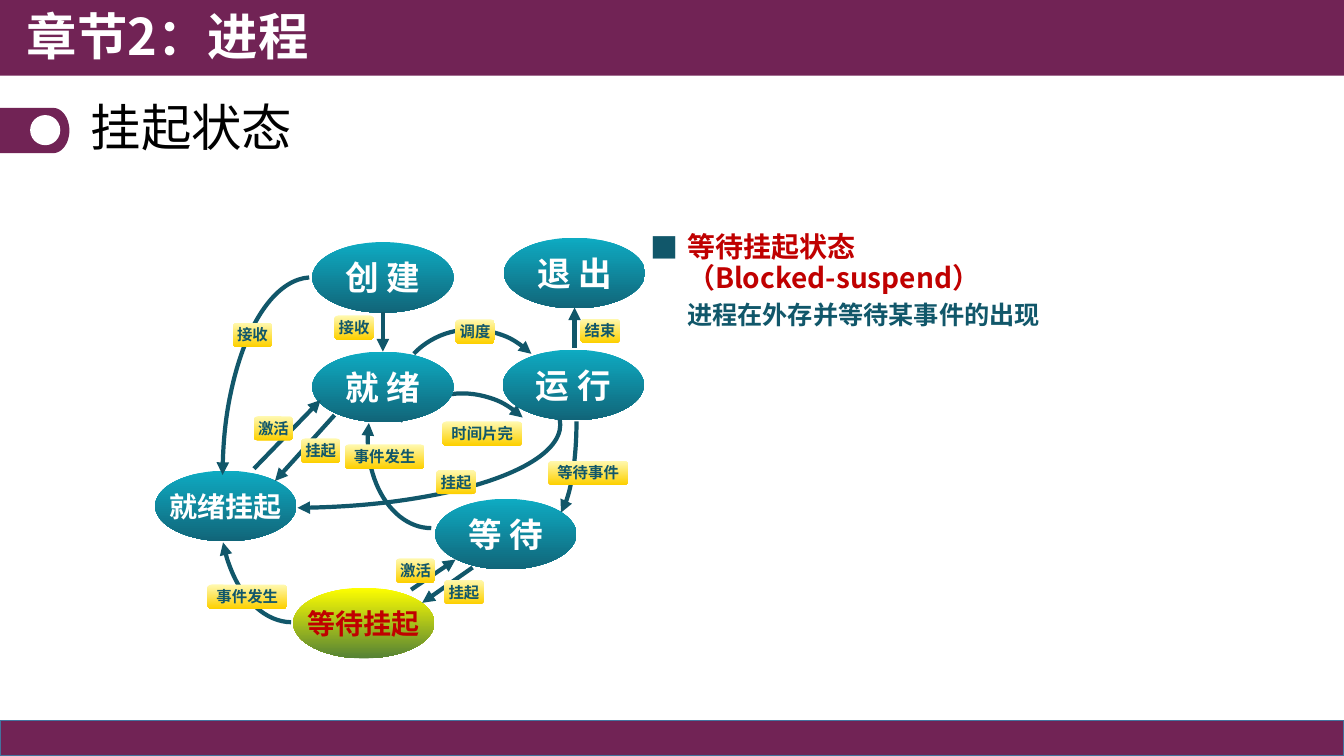
from dataclasses import dataclass
from math import cos, pi, sin

from lxml import etree
from pptx import Presentation
from pptx.dml.color import RGBColor
from pptx.enum import shapes, text
from pptx.oxml import ns
from pptx.util import Cm, Pt


@dataclass(frozen=True)
class Theme:
    font: str = "Noto Sans CJK SC"
    bullet_font: str = "Noto Sans CJK JP"
    plum: str = "712355"
    footer_edge: str = "43739E"
    white: str = "FFFFFF"
    black: str = "000000"
    teal: str = "11576A"
    red: str = "C00000"
    state_fill: tuple = ("0EABC2", "116579")
    current_fill: tuple = ("FFFF00", "548235")
    label_fill: tuple = ("FFF9B1", "FDD000")
    heading_size: int = 36
    state_size: int = 24
    long_state_size: int = 20
    point_size: int = 20
    detail_size: int = 18
    label_size: int = 11


theme = Theme()
Preset = shapes.MSO_SHAPE


def write(paragraph, words, *, size, color, bold=True, align=text.PP_ALIGN.LEFT,
          line=None, before=0):
    paragraph.alignment = align
    paragraph.space_before = Pt(before)
    if line:
        paragraph.line_spacing = line
    run = paragraph.add_run()
    run.text = words
    run.font.size = Pt(size)
    run.font.bold = bold
    run.font.color.rgb = RGBColor.from_string(color)
    run.font.name = theme.font
    east_asian = etree.Element(ns.qn("a:ea"), typeface=theme.font)
    run.font._element.find(ns.qn("a:latin")).addnext(east_asian)


def draw_node(preset, words, box, fill, size, color):
    """Draw a shape with a top-to-bottom gradient and centred text."""
    shape = slide.shapes.add_shape(preset, *map(Cm, box))
    shape.shadow.inherit = False
    shape.line.fill.background()
    shape.fill.gradient()
    shape.fill.gradient_angle = 270
    for stop, stop_color in zip(shape.fill.gradient_stops, fill):
        stop.color.rgb = RGBColor.from_string(stop_color)
    frame = shape.text_frame
    frame.margin_left = frame.margin_right = frame.margin_top = frame.margin_bottom = 0
    frame.word_wrap = False
    frame.vertical_anchor = text.MSO_ANCHOR.MIDDLE
    write(frame.paragraphs[0], words, size=size, color=color, align=text.PP_ALIGN.CENTER)


presentation = Presentation()
presentation.slide_width, presentation.slide_height = Cm(33.87), Cm(19.05)
slide = presentation.slides.add_slide(presentation.slide_layouts[1])

# Bands and section marker
footer = slide.shapes.add_shape(Preset.RECTANGLE, 0, Cm(18.16), Cm(33.87), Cm(0.89))
header = slide.shapes.add_shape(Preset.RECTANGLE, 0, 0, Cm(33.87), Cm(1.91))
builder = slide.shapes.build_freeform(0, Cm(2.72))
arc_steps = 24
angles = [pi * (step / arc_steps - 0.5) for step in range(arc_steps + 1)]
builder.add_line_segments(
    [(Cm(1.34 + 0.41 * cos(angle)), Cm(3.29 + 0.57 * sin(angle))) for angle in angles]
    + [(0, Cm(3.86))])
marker = builder.convert_to_shape()
hole = slide.shapes.add_shape(Preset.OVAL, Cm(0.76), Cm(2.9), Cm(0.76), Cm(0.76))
for shape, color in ((footer, theme.plum), (header, theme.plum),
                     (marker, theme.plum), (hole, theme.white)):
    shape.shadow.inherit = False
    shape.fill.solid()
    shape.fill.fore_color.rgb = RGBColor.from_string(color)
    shape.line.fill.background()
footer.line.color.rgb = RGBColor.from_string(theme.footer_edge)
footer.line.width = Pt(1)

# Chapter and title
chapter = slide.shapes.add_textbox(Cm(0.43), 0, Cm(16.94), Cm(1.96))
chapter.text_frame.word_wrap = True
write(chapter.text_frame.paragraphs[0], "章节2：进程", size=theme.heading_size, color=theme.white)

title = slide.shapes.title
title.left, title.top, title.width, title.height = map(Cm, (2.03, 2.21, 25.4, 2.16))
title.text_frame.vertical_anchor = text.MSO_ANCHOR.MIDDLE
title.text_frame.auto_size = text.MSO_AUTO_SIZE.NONE
write(title.text_frame.paragraphs[0], "挂起状态", size=theme.heading_size,
      color=theme.black, bold=False, line=0.9)

# Explanation list
body = slide.placeholders[1]
body.left, body.top, body.width, body.height = map(Cm, (16.15, 5.87, 16.36, 3.53))
body.text_frame.auto_size = text.MSO_AUTO_SIZE.NONE
points = [
    ("等待挂起状态", True, dict(size=theme.point_size, color=theme.red, line=Pt(18))),
    ("（Blocked-suspend）", False,
     dict(size=theme.point_size, color=theme.red, line=Pt(18), before=4)),
    ("进程在外存并等待某事件的出现", False,
     dict(size=theme.detail_size, color=theme.teal, before=3.6)),
]
for index, (words, has_bullet, style) in enumerate(points):
    frame = body.text_frame
    paragraph = frame.add_paragraph() if index else frame.paragraphs[0]
    properties = paragraph._p.get_or_add_pPr()
    properties.set("marL", str(Cm(0.91)))
    properties.set("indent", str(-Cm(0.91) if has_bullet else 0))
    if has_bullet:
        bullet_color = etree.SubElement(properties, ns.qn("a:buClr"))
        etree.SubElement(bullet_color, ns.qn("a:srgbClr"), val=theme.teal)
        etree.SubElement(properties, ns.qn("a:buFont"), typeface=theme.bullet_font)
        etree.SubElement(properties, ns.qn("a:buChar"), char="■")
    else:
        etree.SubElement(properties, ns.qn("a:buNone"))
    write(paragraph, words, **style)

# Process states
normal = (theme.state_fill, theme.state_size, theme.white)
states = [
    ("创 建", 7.87, 6.1, normal),
    ("就 绪", 7.87, 8.86, normal),
    ("运 行", 12.67, 8.81, normal),
    ("等 待", 10.97, 12.57, normal),
    ("退 出", 12.7, 5.99, normal),
    ("就绪挂起", 3.91, 11.86, (theme.state_fill, theme.long_state_size, theme.white)),
    ("等待挂起", 7.39, 14.81, (theme.current_fill, theme.long_state_size, theme.red)),
]
for words, left, top, look in states:
    draw_node(Preset.OVAL, words, (left, top, 3.56, 1.78), *look)

# Curved transitions: box, rotation, flips, adjustments, arrow end, behind the states
curves = [
    ((9.6, 9.88, 4.24, 4.37), 314, "", (160.58, 215.56), "tailEnd", True),
    ((13.26, 8.13, 1.27, 4.98), 0, "", (0.08, 50.35), "tailEnd", True),
    ((9.91, 8.26, 4.11, 4.27), 314, "", (162, 0), "tailEnd", False),
    ((0.43, 8.61, 13.69, 4.19), 0, "", (215.38, 50.37), "tailEnd", False),
    ((9.27, 8.84, 3.2, 4.47), 0, "H", (207.14, 54), "headEnd", False),
    ((5.54, 9.96, 3.63, 5.72), 0, "H", (15.68, 53.78), "headEnd", False),
    ((5.61, 6.99, 4.5, 10.03), 0, "HV", (0.54, 53.54), "headEnd", False),
]
arrows = []
for box, rotation, flips, adjustments, end, is_behind in curves:
    curve = slide.shapes.add_shape(Preset.ARC, *map(Cm, box))
    curve.rotation = rotation
    curve.adjustments[0], curve.adjustments[1] = adjustments
    curve.fill.background()
    for axis in flips:
        curve._element.spPr.xfrm.set("flip" + axis, "1")
    if is_behind:
        slide.shapes._spTree.insert(2, curve._element)
    arrows.append((curve, end))

# Straight transitions, each from start to arrowhead
straights = [
    (9.65, 7.87, 9.65, 8.86), (14.48, 8.76, 14.48, 7.75),
    (11.91, 14.3, 10.64, 15.19), (10.36, 14.86, 11.48, 14.1),
    (6.4, 11.81, 8.08, 10.08), (8.43, 10.46, 6.93, 12.12),
]
for ends in straights:
    straight = slide.shapes.add_connector(shapes.MSO_CONNECTOR.STRAIGHT, *map(Cm, ends))
    arrows.append((straight, "tailEnd"))

for arrow, end in arrows:
    arrow.line.color.rgb = RGBColor.from_string(theme.teal)
    arrow.line.width = Pt(3)
    etree.SubElement(arrow.line._get_or_add_ln(), ns.qn("a:" + end), type="triangle")
    etree.SubElement(arrow._element.spPr, ns.qn("a:effectLst"))

# Transition labels
labels = [
    ("挂起", 11, 11.84), ("接收", 5.87, 8.13), ("事件发生", 5.23, 14.73),
    ("接收", 8.43, 7.95), ("激活", 6.4, 10.49), ("挂起", 7.59, 11.05),
    ("事件发生", 8.69, 11.2), ("激活", 9.98, 14.07), ("挂起", 11.2, 14.61),
    ("等待事件", 13.82, 11.61), ("时间片完", 11.15, 10.62),
    ("调度", 11.48, 8.05), ("结束", 14.63, 8.03),
]
for words, left, top in labels:
    width = 0.99 if len(words) == 2 else 2.01
    draw_node(Preset.ROUNDED_RECTANGLE, words, (left, top, width, 0.61),
              theme.label_fill, theme.label_size, theme.teal)

presentation.save("out.pptx")
